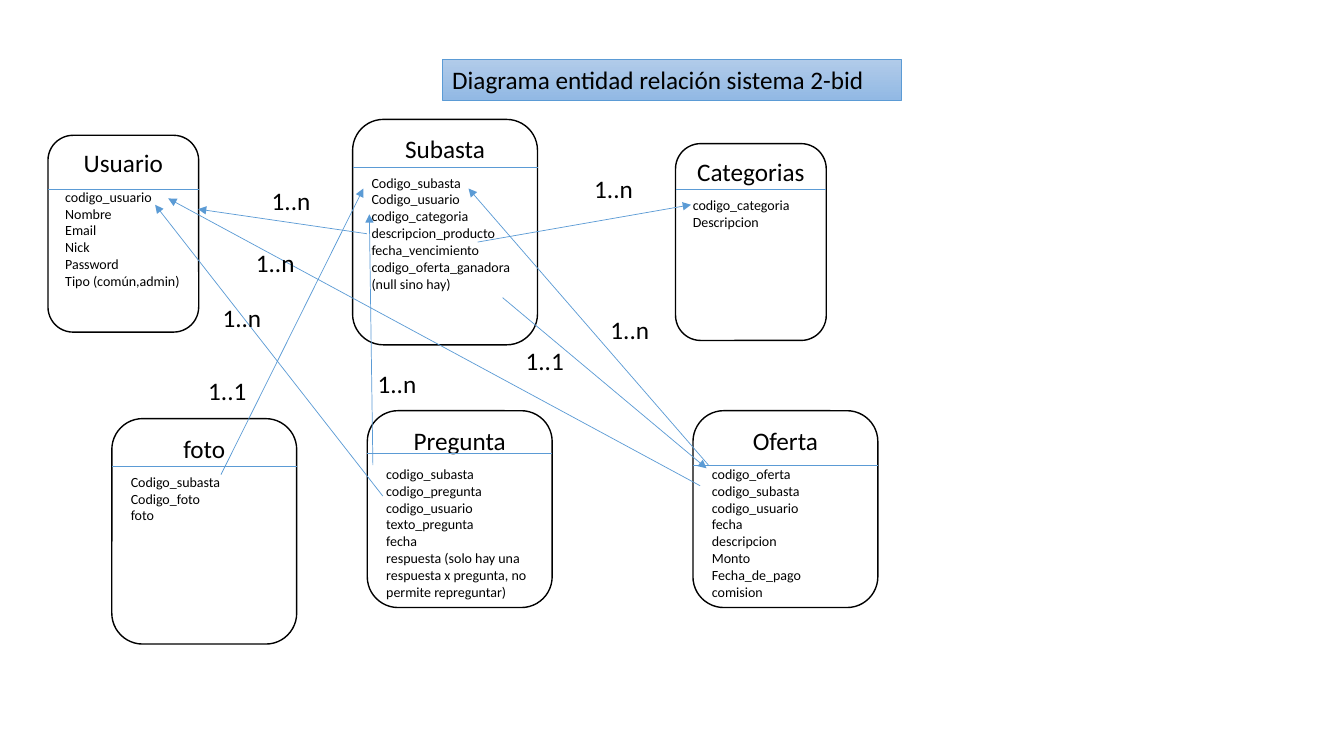
from pptx import Presentation
from pptx.dml.color import RGBColor as RGB
from pptx.enum.shapes import MSO_CONNECTOR as LINK, MSO_SHAPE as SHAPE
from pptx.enum.text import MSO_ANCHOR as ANCHOR, MSO_AUTO_SIZE as FIT, PP_ALIGN as ALIGN
from pptx.oxml.ns import qn
from pptx.util import Cm, Pt
from lxml.etree import SubElement as Sub

BLUE, BLACK, WHITE = "5B9BD5", "000000", "FFFFFF"
SLIM, WIDE = 3.8, 4.66
LOW, TALL = 4.96, 5.68

TABLES = [
    ("Usuario", (1.21, 3.41, SLIM, LOW), 4.78,
     ["codigo_usuario", "Nombre", "Email", "Nick", "Password",
      "Tipo (común,admin)"]),
    ("Subasta", (8.89, 3.01, WIDE, TALL), 4.22,
     ["Codigo_subasta", "Codigo_usuario", "codigo_categoria",
      "descripcion_producto", "fecha_vencimiento",
      "codigo_oferta_ganadora (null sino hay)"]),
    ("Categorias", (17.03, 3.62, SLIM, LOW), 4.78,
     ["codigo_categoria", "Descripcion"]),
    ("Pregunta", (9.26, 10.35, WIDE, LOW), 11.43,
     ["codigo_subasta", "codigo_pregunta", "codigo_usuario",
      "texto_pregunta", "fecha",
      "respuesta (solo hay una respuesta x pregunta, no permite repreguntar)"]),
    ("Oferta", (17.47, 10.35, WIDE, LOW), 11.72,
     ["codigo_oferta", "codigo_subasta", "codigo_usuario", "fecha",
      "descripcion", "Monto", "Fecha_de_pago", "comision"]),
    ("foto", (2.82, 10.55, WIDE, TALL), 11.76,
     ["Codigo_subasta", "Codigo_foto", "foto"]),
]

ARROWS = [
    (9.25, 5.89, 4.99, 5.27),
    (12.04, 6.1, 17.42, 5.16),
    (9.65, 12.5, 3.91, 5.16),
    (17.86, 11.72, 11.81, 4.75),
    (17.65, 12.24, 4.24, 5),
    (12.67, 7.5, 17.81, 11.8),
    (9.4, 11.72, 9.31, 5.4),
    (5.57, 11.96, 9.16, 4.75),
]

LABELS = [
    ("1..1", 5, 9.32),
    ("1..n", 14.73, 4.24),
    ("1..n", 15.14, 7.8),
    ("1..n", 9.27, 9.14),
    ("1..1", 13, 8.56),
    ("1..n", 5.36, 7.49),
    ("1..n", 6.6, 4.55),
    ("1..n", 6.2, 6.1),
]


def color(code):
    """Turn a hex string into a colour."""
    return RGB.from_string(code)


def write(para, text, size, align=ALIGN.LEFT):
    """Add one run of text to a paragraph."""
    para.alignment = align
    run = para.add_run()
    run.text = text
    run.font.name = "Calibri"
    run.font.size = Pt(size)
    run.font.color.rgb = color(BLACK)


def set_frame(frame):
    """Anchor a text frame at the top with even insets."""
    frame.word_wrap = True
    frame.auto_size = FIT.NONE
    frame.vertical_anchor = ANCHOR.TOP
    frame.margin_left = frame.margin_right = Cm(0.25)
    frame.margin_top = frame.margin_bottom = Cm(0.13)


def add_title(slide, text):
    """Place the title on a blue gradient bar."""
    title = slide.shapes.title
    title.left, title.top, title.width, title.height = map(Cm, (11.15, 1.5, 11.58, 1.02))
    title.fill.gradient()
    title.fill.gradient_angle = 270
    for stop, code in zip(title.fill.gradient_stops, ("B1CBE9", "92B9E4")):
        stop.color.rgb = color(code)
    title.line.color.rgb = color(BLUE)
    title.line.width = Pt(0.5)
    set_frame(title.text_frame)
    write(title.text_frame.paragraphs[0], text, 18)


def add_line(slide, x1, y1, x2, y2, arrow=False):
    """Draw a thin blue line, with an arrowhead if asked."""
    link = slide.shapes.add_connector(LINK.STRAIGHT, Cm(x1), Cm(y1), Cm(x2), Cm(y2))
    link.line.color.rgb = color(BLUE)
    link.line.width = Pt(0.5)
    if arrow:
        Sub(link.line._get_or_add_ln(), qn("a:tailEnd"), type="triangle")
    Sub(link._element.spPr, qn("a:effectLst"))


def add_table_box(slide, name, box, rule, fields):
    """Draw an entity with its name, its rule and its fields."""
    shape = slide.shapes.add_shape(SHAPE.ROUNDED_RECTANGLE, *map(Cm, box))
    shape.shadow.inherit = False
    shape.fill.solid()
    shape.fill.fore_color.rgb = color(WHITE)
    shape.line.color.rgb = color(BLACK)
    shape.line.width = Pt(1)
    frame = shape.text_frame
    set_frame(frame)
    write(frame.paragraphs[0], name, 18, ALIGN.CENTER)
    for i, field in enumerate(fields):
        para = frame.add_paragraph()
        para.space_before = Pt(0 if i else 7.3)
        write(para, field, 10)
    left, _, width, _ = box
    add_line(slide, left, rule, left + width, rule)


def add_label(slide, text, left, top):
    """Write the cardinality of a relation."""
    frame = slide.shapes.add_textbox(Cm(left), Cm(top), Cm(1.7), Cm(1.02)).text_frame
    set_frame(frame)
    write(frame.paragraphs[0], text, 18)


def main():
    """Build the entity relation slide."""
    deck = Presentation()
    deck.slide_width, deck.slide_height = Cm(33.88), Cm(19.05)
    slide = deck.slides.add_slide(deck.slide_layouts[5])
    add_title(slide, "Diagrama entidad relación sistema 2-bid")
    for table in TABLES:
        add_table_box(slide, *table)
    for ends in ARROWS:
        add_line(slide, *ends, arrow=True)
    for label in LABELS:
        add_label(slide, *label)
    deck.save("out.pptx")


if __name__ == "__main__":
    main()
